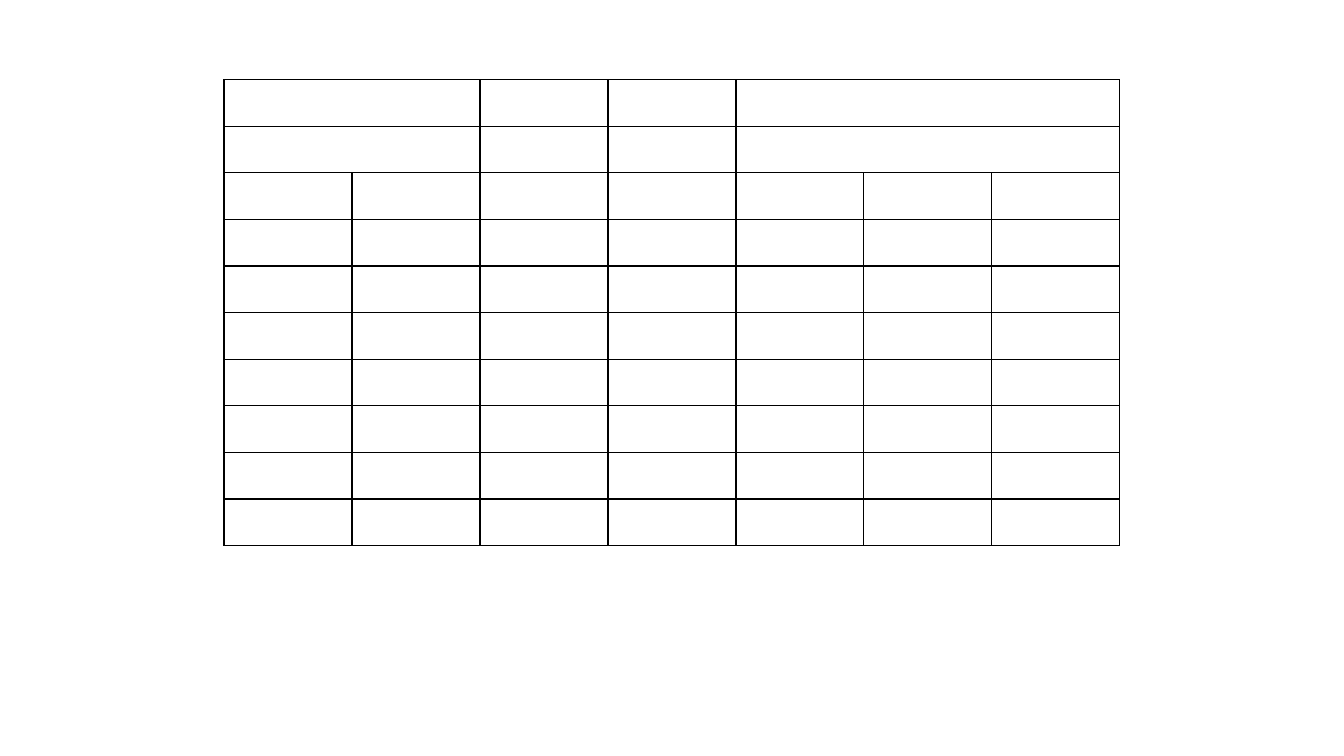
from lxml.etree import SubElement
from pptx import Presentation
from pptx.dml.color import RGBColor
from pptx.oxml.ns import qn
from pptx.util import Pt

BLACK = RGBColor(0x00, 0x00, 0x00)
WHITE = RGBColor(0xFF, 0xFF, 0xFF)

ROWS, COLUMNS = 10, 7
COLUMN_WIDTH, ROW_HEIGHT = 91.43, 33.29
HEADER_ROWS = (0, 1)
HEADER_SPANS = ((0, 1), (4, 6))  # first and last column of each merged cell


class GridSlide:
    """Hold the style and the current slide."""

    font = "Calibri"
    size = Pt(18)
    border = Pt(1)

    def __init__(self, deck):
        """Add a blank page to the deck."""
        self.page = deck.slides.add_slide(deck.slide_layouts[6])

    def outline(self, cell):
        """Draw a solid line on all four sides of a cell."""
        properties = cell._tc.get_or_add_tcPr()
        for side in ("lnL", "lnR", "lnT", "lnB"):
            line = SubElement(properties, qn(f"a:{side}"), w=str(self.border))
            fill = SubElement(line, qn("a:solidFill"))
            SubElement(fill, qn("a:srgbClr"), val=str(BLACK))

    def table(self, left, top):
        """Add an empty ruled table and return it."""
        frame = self.page.shapes.add_table(
            ROWS, COLUMNS, Pt(left), Pt(top),
            Pt(COLUMNS * COLUMN_WIDTH), Pt(ROWS * ROW_HEIGHT))
        table = frame.table
        table.first_row = table.horz_banding = False
        for column in table.columns:
            column.width = Pt(COLUMN_WIDTH)
        for row in table.rows:
            row.height = Pt(ROW_HEIGHT)
        for cell in table.iter_cells():
            self.outline(cell)
            cell.fill.solid()
            cell.fill.fore_color.rgb = WHITE
            font = cell.text_frame.paragraphs[0].font
            font.name, font.size = self.font, self.size
            font.color.rgb = BLACK
        return table


def main():
    """Build the slide and save it."""
    deck = Presentation()
    deck.slide_width, deck.slide_height = Pt(960), Pt(540)
    grid = GridSlide(deck).table(160, 56.9)
    for row in HEADER_ROWS:
        for first, last in HEADER_SPANS:
            grid.cell(row, first).merge(grid.cell(row, last))
    deck.save("out.pptx")


main()
